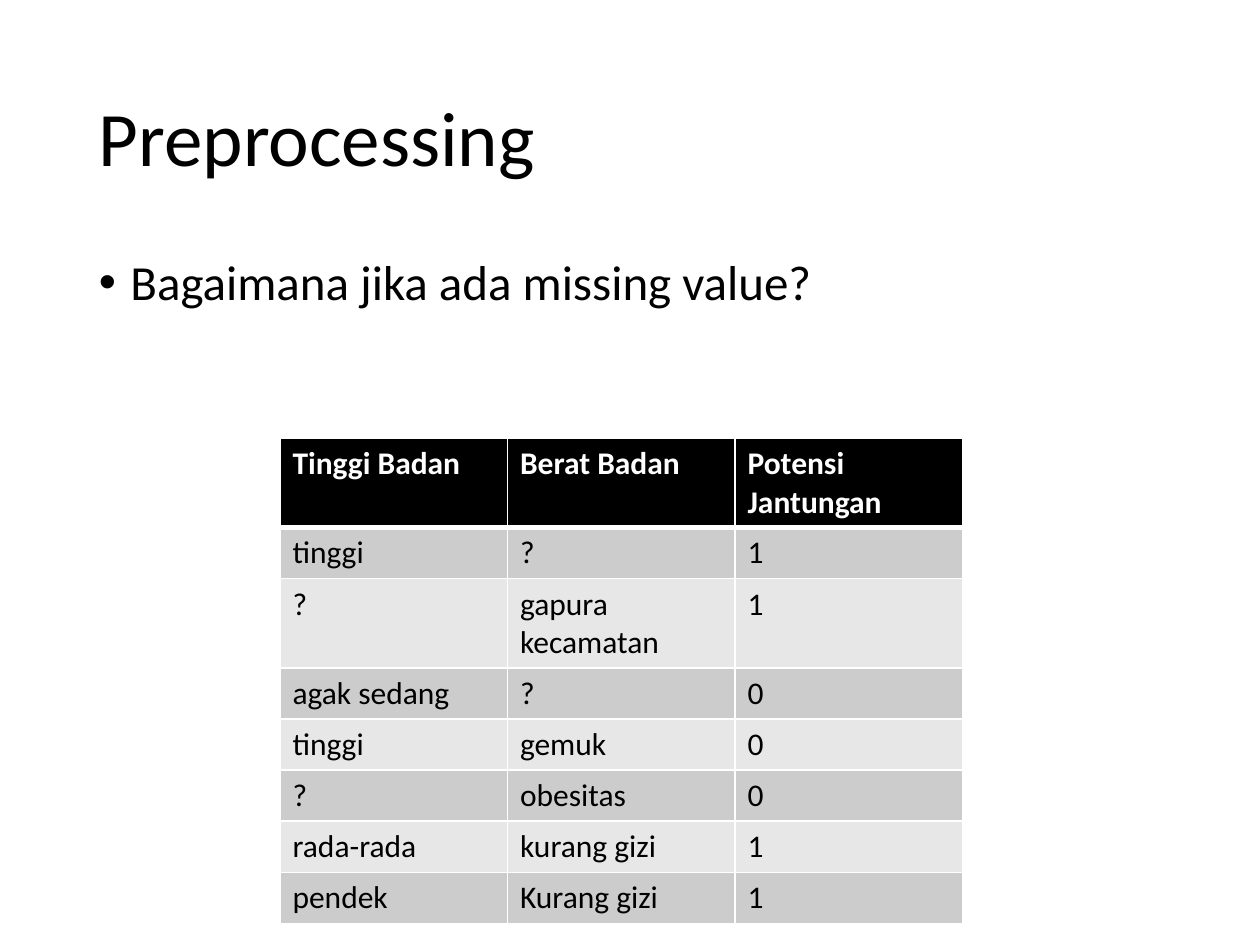
from lxml.etree import SubElement
from pptx import Presentation
from pptx.dml.color import RGBColor
from pptx.enum.text import MSO_ANCHOR
from pptx.oxml.ns import qn
from pptx.util import Pt


def colour(hex_code):
    return RGBColor.from_string(hex_code)


class SlideBuilder:
    font = "Calibri"
    ink = "000000"
    paper = "FFFFFF"
    bands = ("CCCCCC", "E7E7E7")

    def __init__(self, slide):
        self.slide = slide

    def add_wording(self, paragraph, wording, size, ink, bold=False):
        run = paragraph.add_run()
        run.text = wording
        run.font.color.rgb = colour(ink)
        for name, value in {"name": self.font, "size": Pt(size), "bold": bold}.items():
            setattr(run.font, name, value)

    def text(self, wording, box, size, anchor, space_before=0):
        frame = self.slide.shapes.add_textbox(*map(Pt, box)).text_frame
        for name, value in {"word_wrap": True, "vertical_anchor": anchor}.items():
            setattr(frame, name, value)
        paragraph = frame.paragraphs[0]
        spacing = {"line_spacing": 0.9, "space_before": Pt(space_before)}
        for name, value in spacing.items():
            setattr(paragraph, name, value)
        self.add_wording(paragraph, wording, size, self.ink)
        return paragraph

    def bullet(self, wording, box, size):
        paragraph = self.text(wording, box, size, MSO_ANCHOR.TOP, space_before=10)
        properties = paragraph._p.get_or_add_pPr()
        for name, value in {"marL": Pt(18), "indent": -Pt(18)}.items():
            properties.set(name, str(value))
        SubElement(properties, qn("a:buFont"), typeface="Arial")
        SubElement(properties, qn("a:buChar"), char="•")

    def border(self, cell, widths):
        properties = cell._tc.get_or_add_tcPr()
        for side, width in widths.items():
            line = SubElement(properties, qn(f"a:ln{side}"), w=str(Pt(width)))
            fill = SubElement(line, qn("a:solidFill"))
            SubElement(fill, qn("a:srgbClr"), val=self.paper)

    def cell(self, cell, wording, row):
        header = row == 0
        top = 3 if row == 1 else 1
        bottom = 3 if header else 1
        self.border(cell, {"L": 1, "R": 1, "T": top, "B": bottom})
        cell.fill.solid()
        cell.fill.fore_color.rgb = colour(self.ink if header else self.bands[(row - 1) % 2])
        ink = self.paper if header else self.ink
        self.add_wording(cell.text_frame.paragraphs[0], wording, 18, ink, bold=header)

    def table(self, records, left, top, column_width, heights):
        columns = len(records[0])
        table = self.slide.shapes.add_table(
            len(records), columns, Pt(left), Pt(top),
            Pt(column_width * columns), Pt(sum(heights)),
        ).table
        for column in table.columns:
            column.width = Pt(column_width)
        for index, (record, height) in enumerate(zip(records, heights)):
            table.rows[index].height = Pt(height)
            for position, wording in enumerate(record):
                self.cell(table.cell(index, position), wording, index)


def main():
    presentation = Presentation()
    presentation.slide_width = Pt(720)
    presentation.slide_height = Pt(540)
    builder = SlideBuilder(presentation.slides.add_slide(presentation.slide_layouts[6]))

    margin, width = 49.5, 621
    builder.text("Preprocessing", (margin, 28.75, width, 104.4), 44, MSO_ANCHOR.MIDDLE)
    builder.bullet("Bagaimana jika ada missing value?", (margin, 143.75, width, 342.6), 28)

    patients = [
        ("Tinggi Badan", "Berat Badan", "Potensi Jantungan"),
        ("tinggi", "?", "1"),
        ("?", "gapura kecamatan", "1"),
        ("agak sedang", "?", "0"),
        ("tinggi", "gemuk", "0"),
        ("?", "obesitas", "0"),
        ("rada-rada", "kurang gizi", "1"),
        ("pendek", "Kurang gizi", "1"),
    ]
    single, double = 29.2, 51
    heights = [double, single, double] + [single] * 5
    builder.table(patients, 160, 250.5, 130, heights)

    presentation.save("out.pptx")


if __name__ == "__main__":
    main()
